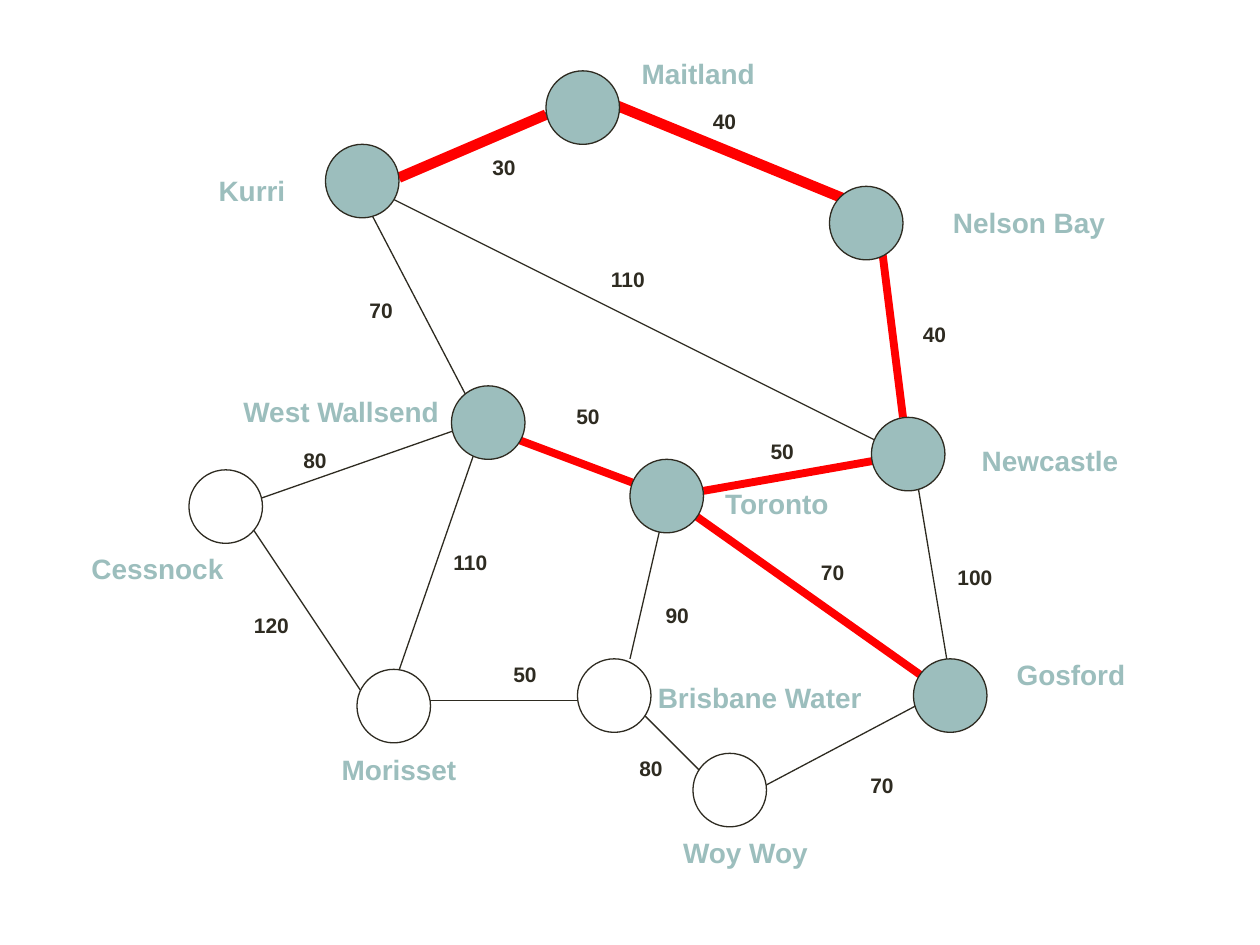
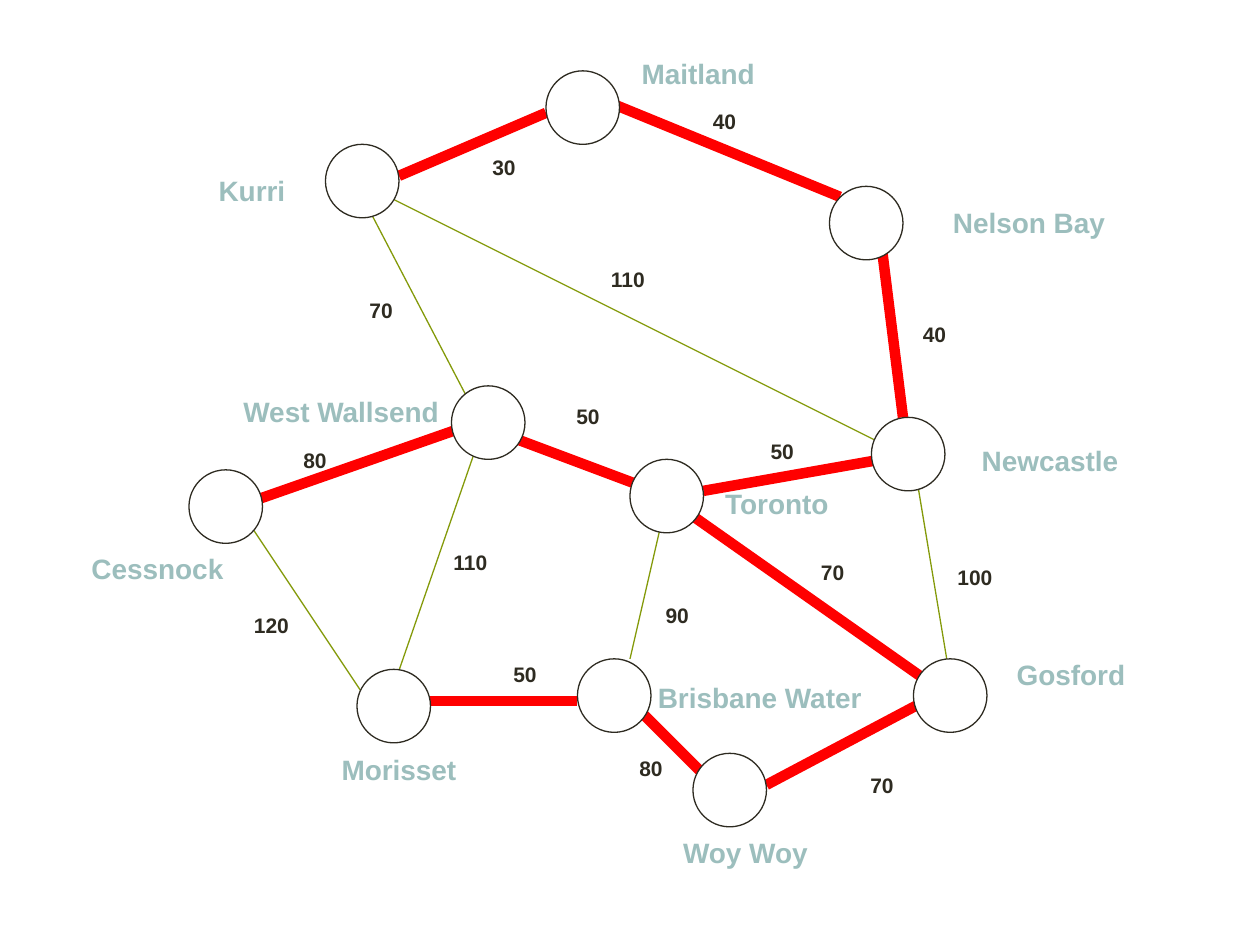
from pptx import Presentation
from pptx.dml.color import RGBColor
from pptx.enum.shapes import MSO_CONNECTOR, MSO_SHAPE
from pptx.enum.text import MSO_AUTO_SIZE, PP_ALIGN
from pptx.util import Inches, Pt
from lxml import etree

STRAIGHT = MSO_CONNECTOR.STRAIGHT
OVAL = MSO_SHAPE.OVAL
GROW = MSO_AUTO_SIZE.SHAPE_TO_FIT_TEXT
LEFT, MID = PP_ALIGN.LEFT, PP_ALIGN.CENTER
DRAW = "{http://schemas.openxmlformats.org/drawingml/2006/main}"
INK, RED, TEAL, WHITE, GREEN = "2E2B21", "FF0000", "9CBEBD", "FFFFFF", "849A0A"
THIN = 0.75

deck = Presentation()
deck.slide_width, deck.slide_height = Inches(10), Inches(7.5)
cell = deck.slide_width / 120
top = cell * 0.75
color = RGBColor.from_string


def spot(col, row):
    return round(col * cell), round(top + row * cell)


def write(slide, text, col, row, wide, tall, size=12, tint=INK, align=MID):
    box = slide.shapes.add_textbox(*spot(col, row), round(wide * cell), Inches(tall))
    frame = box.text_frame
    frame.word_wrap = True
    frame.auto_size = GROW
    para = frame.paragraphs[0]
    para.alignment = align
    run = para.add_run()
    run.text = text
    run.font.name = "Arial"
    run.font.size = Pt(size)
    run.font.bold = True
    run.font.color.rgb = color(tint)


# name, node column and row, label column and row
towns = [
    ("Kurri", 31, 13, 9, 15.21),
    ("West Wallsend", 43, 36, 17.5, 36.21),
    ("Morisset", 34, 63, 23, 70.29),
    ("Toronto", 60, 43, 59, 45),
    ("Brisbane Water", 55, 62, 57.36, 63.45),
    ("Newcastle", 83, 39, 85, 40.89),
    ("Woy Woy", 66, 71, 56, 78.21),
    ("Gosford", 87, 62, 87, 61.29),
    ("Cessnock", 18, 44, 0, 51.21),
    ("Nelson Bay", 79, 17, 83, 18.21),
    ("Maitland", 52, 6, 51.5, 4.05),
]
costs = [
    ("50", 47, 61.65, 6, MID), ("40", 66, 9, 6, MID),
    ("40", 86, 29.25, 6, MID), ("30", 45, 13.41, 6, MID),
    ("80", 27, 41.25, 6, MID), ("70", 81, 72.21, 6, MID),
    ("80", 59, 70.65, 6, MID), ("50", 53, 37.05, 6, MID),
    ("90", 59, 56, 11, MID), ("50", 70, 40.41, 9, MID),
    ("110", 57, 24, 14, LEFT), ("70", 34, 27, 11, LEFT),
    ("120", 23, 57, 9, LEFT), ("110", 42, 51, 10, LEFT),
    ("70", 77, 52, 10, LEFT), ("100", 90, 52.41, 15, LEFT),
]
plain = [
    (87, 43, 91, 67), (34, 17, 46, 40), (23, 48, 37, 69),
    (46, 40, 37, 66), (35, 17, 87, 43), (63, 49, 60, 62),
]
both = [(47, 40.25, 63, 46.25), (67, 46, 84, 43), (84, 23, 86, 39)]
late = [
    (64, 47, 91, 66), (58, 9, 80, 18), (52, 10, 38, 16), (44, 40, 24, 47),
    (41, 66, 55, 66), (61, 67, 67, 73), (73, 74, 90, 65),
]
south = [(65, 47.5, 92, 66.6)]
north = [(52, 10.17, 38, 16.17), (58.8, 9.33, 80.76, 18.33)]
all_names = {town[0] for town in towns}
found = all_names - {"Morisset", "Brisbane Water", "Woy Woy", "Cessnock"}

stages = [
    (found, [(plain + late, INK, THIN), (both + south, RED, 4.5), (north, RED, 6)]),
    (set(), [(plain, GREEN, THIN), (both + late, RED, 6)]),
]

for shaded, groups in stages:
    slide = deck.slides.add_slide(deck.slide_layouts[6])
    for roads, tint, width in groups:
        for x1, y1, x2, y2 in roads:
            road = slide.shapes.add_connector(STRAIGHT, *spot(x1, y1), *spot(x2, y2))
            road.line.color.rgb = color(tint)
            road.line.width = Pt(width)
            etree.SubElement(road._element.spPr, DRAW + "effectLst")
    for name, col, row, *place in towns:
        node = slide.shapes.add_shape(OVAL, *spot(col, row), round(7 * cell), round(7 * cell))
        node.shadow.inherit = False
        node.fill.solid()
        node.fill.fore_color.rgb = color(TEAL if name in shaded else WHITE)
        node.line.color.rgb = color(INK)
        node.line.width = Pt(THIN)
    for text, col, row, wide, align in costs:
        write(slide, text, col, row, wide, 0.3, align=align)
    for name, *node, col, row in towns:
        write(slide, name, col, row, 30, 0.37, size=16, tint=TEAL)

deck.save("out.pptx")
